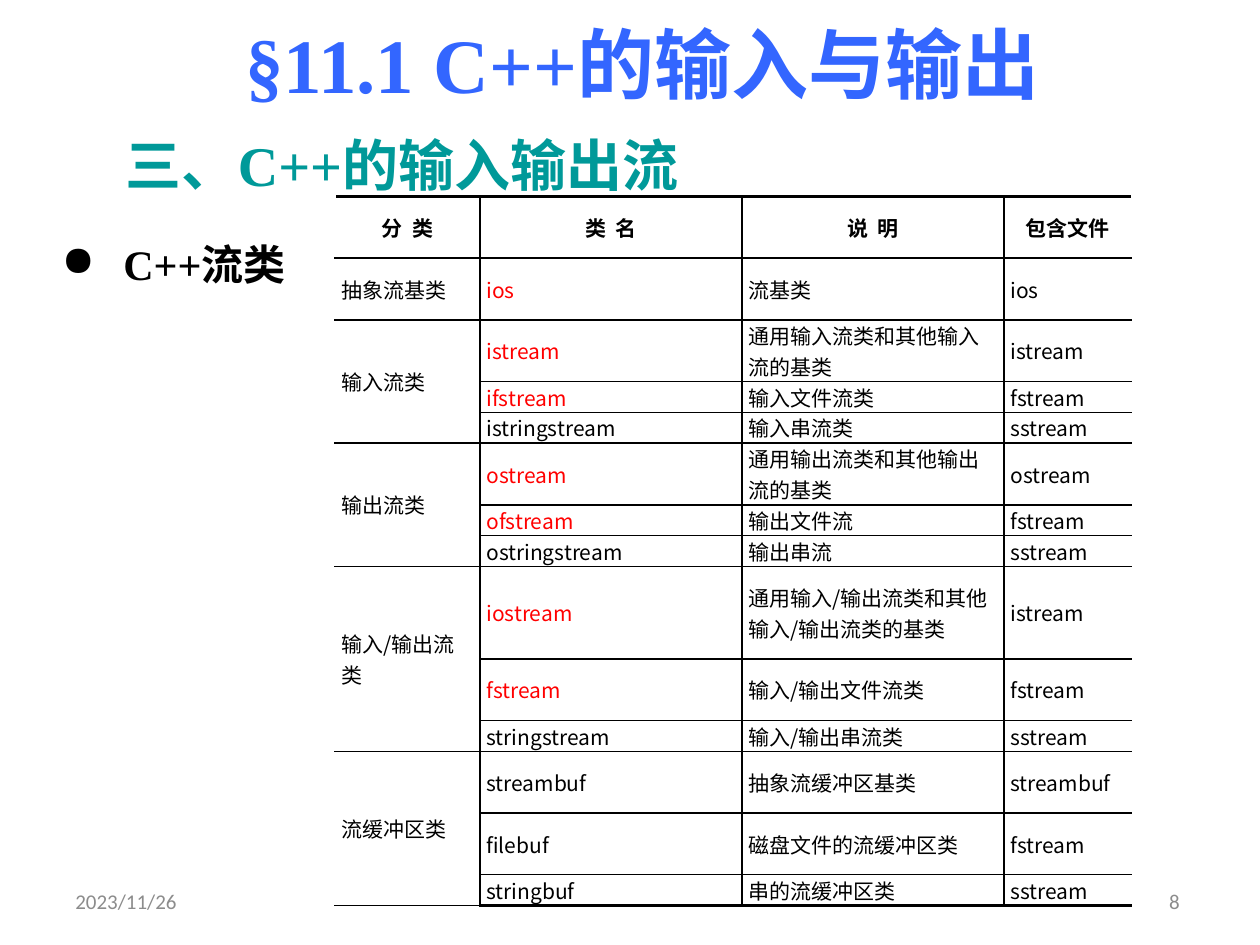
"""Build the slide that lists the C++ input and output stream classes."""
from dataclasses import dataclass
from typing import NamedTuple, Optional

from lxml import etree
from pptx import Presentation
from pptx.dml.color import RGBColor
from pptx.enum.text import MSO_ANCHOR, MSO_AUTO_SIZE, PP_ALIGN
from pptx.oxml.ns import qn
from pptx.util import Inches, Pt

LEFT, CENTER, RIGHT = PP_ALIGN.LEFT, PP_ALIGN.CENTER, PP_ALIGN.RIGHT
TOP, MIDDLE = MSO_ANCHOR.TOP, MSO_ANCHOR.MIDDLE
GROW, FIXED = MSO_AUTO_SIZE.SHAPE_TO_FIT_TEXT, MSO_AUTO_SIZE.NONE


@dataclass(frozen=True)
class Theme:
    serif: str = "Times New Roman"
    sans: str = "Calibri"
    chinese: str = "Noto Sans CJK SC"
    blue: str = "3366FF"
    teal: str = "009999"
    black: str = "000000"
    white: str = "FFFFFF"
    red: str = "FF0000"
    gray: str = "8C8C8C"
    title: int = 44
    heading: int = 32
    bullet: int = 24
    small: int = 12
    thin: float = 1
    thick: float = 1.5


THEME = Theme()


class Style(NamedTuple):
    font: str
    size: int
    color: str
    bold: bool = False


class Label(NamedTuple):
    text: str
    left: float
    top: float
    width: float
    height: float
    style: Style
    align: PP_ALIGN = LEFT
    anchor: MSO_ANCHOR = TOP
    indent: float = 0
    bullet: Optional[str] = None
    spacing: float = 1.0


class StreamClass(NamedTuple):
    name: str
    note: str
    header: str
    units: int
    key: bool = False


class Family(NamedTuple):
    name: str
    members: list[StreamClass]


FOOTER = Style(THEME.sans, THEME.small, THEME.gray)
LABELS = [
    Label("2023/11/26", 0.5, 6.95, 2.33, 0.4, FOOTER, anchor=MIDDLE),
    Label("8 ", 7.17, 6.95, 2.33, 0.4, FOOTER, RIGHT, MIDDLE),
    Label("§11.1 C++的输入与输出", 0.71, 0.08, 8.78, 0.84,
          Style(THEME.serif, THEME.title, THEME.blue, True), CENTER),
    Label("三、C++的输入输出流", 0.9, 0.99, 6.46, 0.64,
          Style(THEME.serif, THEME.heading, THEME.teal, True), indent=0.39),
    Label("C++流类", 0.39, 1.64, 8.82, 0.71,
          Style(THEME.serif, THEME.bullet, THEME.black, True),
          indent=0.49, bullet="●", spacing=1.5),
]
HEADINGS = ["分\u00a0\u00a0类", "类\u00a0\u00a0名", "说\u00a0\u00a0明", "包含文件"]
HEADING_UNITS = 2
FAMILIES = [
    Family("抽象流基类", [StreamClass("ios", "流基类", "ios", 2, True)]),
    Family("输入流类", [
        StreamClass("istream", "通用输入流类和其他输入流的基类", "istream", 2, True),
        StreamClass("ifstream", "输入文件流类", "fstream", 1, True),
        StreamClass("istringstream", "输入串流类", "sstream", 1)]),
    Family("输出流类", [
        StreamClass("ostream", "通用输出流类和其他输出流的基类", "ostream", 2, True),
        StreamClass("ofstream", "输出文件流", "fstream", 1, True),
        StreamClass("ostringstream", "输出串流", "sstream", 1)]),
    Family("输入/输出流类", [
        StreamClass("iostream", "通用输入/输出流类和其他输入/输出流类的基类", "istream", 3, True),
        StreamClass("fstream", "输入/输出文件流类", "fstream", 2, True),
        StreamClass("stringstream", "输入/输出串流类", "sstream", 1)]),
    Family("流缓冲区类", [
        StreamClass("streambuf", "抽象流缓冲区基类", "streambuf", 2),
        StreamClass("filebuf", "磁盘文件的流缓冲区类", "fstream", 2),
        StreamClass("stringbuf", "串的流缓冲区类", "sstream", 1)]),
]
COLUMNS = [1.15, 2.08, 2.08, 1.01]
TABLE_LEFT, TABLE_TOP, TABLE_HEIGHT = 2.66, 1.56, 5.63
CELL_INSET = 0.05


def add_span(para, text: str, style: Style) -> None:
    """Add one styled run to a paragraph."""
    span = para.add_run()
    span.text = text
    span.font.name = style.font
    span.font.size = Pt(style.size)
    span.font.bold = style.bold
    span.font.color.rgb = RGBColor.from_string(style.color)
    latin = span.font._element.find(qn("a:latin"))
    latin.addnext(latin.makeelement(qn("a:ea"), {"typeface": THEME.chinese}))


def add_label(page, label: Label) -> None:
    """Place a text box with one paragraph."""
    box = page.shapes.add_textbox(Inches(label.left), Inches(label.top),
                                  Inches(label.width), Inches(label.height))
    frame = box.text_frame
    frame.word_wrap = True
    frame.auto_size = GROW if label.anchor == TOP else FIXED
    frame.vertical_anchor = label.anchor
    para = frame.paragraphs[0]
    properties = para._p.get_or_add_pPr()
    if label.indent:
        properties.set("marL", str(Inches(label.indent)))
        properties.set("indent", str(-Inches(label.indent)))
    if label.bullet:
        color = etree.SubElement(properties, qn("a:buClr"))
        etree.SubElement(color, qn("a:srgbClr"), val=THEME.black)
        etree.SubElement(properties, qn("a:buChar"), char=label.bullet)
    para.alignment = label.align
    para.line_spacing = label.spacing
    add_span(para, label.text, label.style)


def draw_borders(cell, row: int, column: int, last_row: int) -> None:
    """Rule a cell, with open sides and heavier outer top and bottom."""
    last_column = len(COLUMNS) - 1
    sides = [
        ("a:lnL", THEME.white if column == 0 else THEME.black, THEME.thin),
        ("a:lnR", THEME.white if column == last_column else THEME.black, THEME.thin),
        ("a:lnT", THEME.black, THEME.thick if row == 0 else THEME.thin),
        ("a:lnB", THEME.black, THEME.thick if row == last_row else THEME.thin),
    ]
    properties = cell._tc.get_or_add_tcPr()
    for tag, color, width in sides:
        line = etree.SubElement(properties, qn(tag), w=str(Pt(width)))
        fill = etree.SubElement(line, qn("a:solidFill"))
        etree.SubElement(fill, qn("a:srgbClr"), val=color)
    cell.fill.background()


def fill_cell(cell, text: str, color: str = THEME.black, heading: bool = False) -> None:
    """Write the text of one table cell."""
    para = cell.text_frame.paragraphs[0]
    para.alignment = CENTER if heading else LEFT
    add_span(para, text, Style(THEME.chinese, THEME.small, color, heading))


def add_class_table(page) -> None:
    """Draw the table of stream classes grouped by family."""
    units = [HEADING_UNITS] + [item.units for family in FAMILIES for item in family.members]
    table = page.shapes.add_table(len(units), len(COLUMNS), Inches(TABLE_LEFT), Inches(TABLE_TOP),
                                  Inches(sum(COLUMNS)), Inches(TABLE_HEIGHT)).table
    table.first_row = table.horz_banding = False
    for column, width in zip(table.columns, COLUMNS):
        column.width = Inches(width)
    for row, count in enumerate(units):
        table.rows[row].height = Inches(TABLE_HEIGHT * count / sum(units))
        for column in range(len(COLUMNS)):
            cell = table.cell(row, column)
            cell.margin_left = cell.margin_right = Inches(CELL_INSET)
            cell.margin_top = cell.margin_bottom = Inches(0)
            cell.vertical_anchor = MIDDLE
            draw_borders(cell, row, column, len(units) - 1)
    for column, text in enumerate(HEADINGS):
        fill_cell(table.cell(0, column), text, heading=True)
    row = 1
    for family in FAMILIES:
        first = table.cell(row, 0)
        if len(family.members) > 1:
            first.merge(table.cell(row + len(family.members) - 1, 0))
        fill_cell(first, family.name)
        for item in family.members:
            fill_cell(table.cell(row, 1), item.name, THEME.red if item.key else THEME.black)
            fill_cell(table.cell(row, 2), item.note)
            fill_cell(table.cell(row, 3), item.header)
            row += 1


def main() -> None:
    """Build and save the deck."""
    deck = Presentation()
    deck.slide_width, deck.slide_height = Inches(10), Inches(7.5)
    page = deck.slides.add_slide(deck.slide_layouts[6])
    for label in LABELS:
        add_label(page, label)
    add_class_table(page)
    deck.save("out.pptx")


if __name__ == "__main__":
    main()
